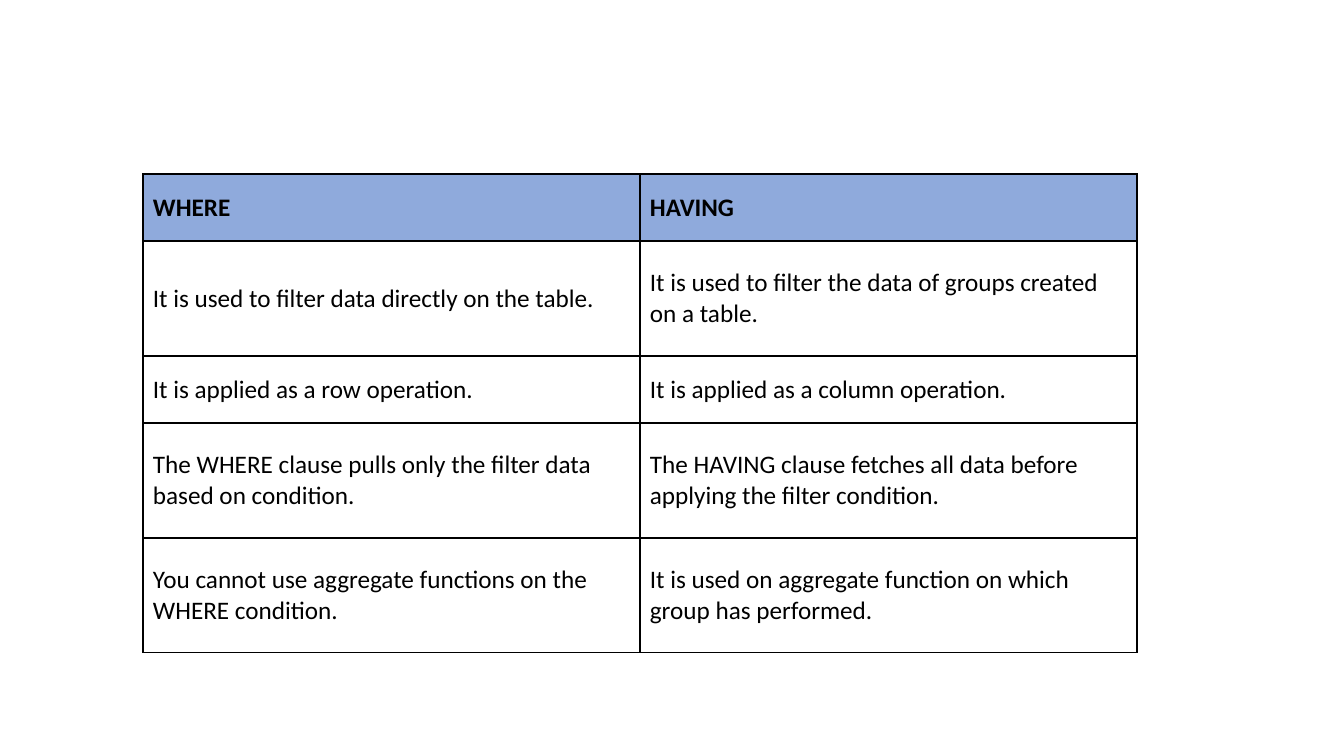
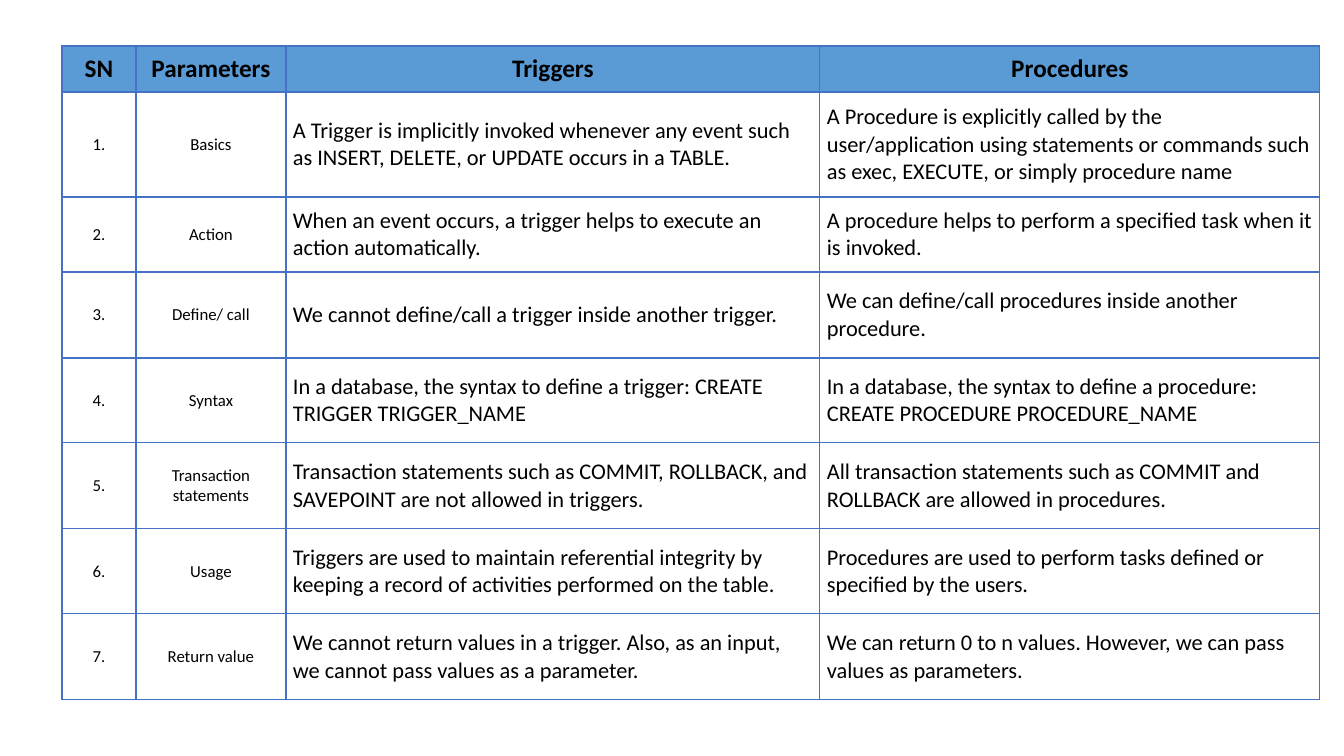
from lxml.etree import SubElement
from pptx import Presentation
from pptx.dml.color import RGBColor
from pptx.enum.text import MSO_ANCHOR as Anchor, PP_ALIGN as Align
from pptx.oxml.ns import qn
from pptx.util import Emu, Pt

FONT = "Calibri"
BLACK = "000000"
SCALE = 914400 / 100.8  # EMU per px


def px(length):
    return Emu(round(length * SCALE))


def write_cell(cell, text, size=18, bold=False, align=Align.LEFT, inset=(10, 6), fill=None, border=BLACK):
    cell.vertical_anchor = Anchor.MIDDLE
    cell.margin_left = cell.margin_right = px(inset[0])
    cell.margin_top = cell.margin_bottom = px(inset[1])
    # Borders come before the fill in the cell properties
    properties = cell._tc.get_or_add_tcPr()
    for side in ("a:lnL", "a:lnR", "a:lnT", "a:lnB"):
        line = SubElement(properties, qn(side), w=str(Pt(1)))
        SubElement(SubElement(line, qn("a:solidFill")), qn("a:srgbClr"), val=border)
    if fill:
        cell.fill.solid()
        cell.fill.fore_color.rgb = RGBColor.from_string(fill)
    else:
        cell.fill.background()
    paragraph = cell.text_frame.paragraphs[0]
    paragraph.alignment = align
    run = paragraph.add_run()
    run.text = text
    run.font.name, run.font.size, run.font.bold = FONT, Pt(size), bold
    run.font.color.rgb = RGBColor.from_string(BLACK)


# Cell formats
plain = {}
centred_head = {"align": Align.CENTER, "inset": (7, 7)}
number_head = {"align": Align.CENTER, "inset": (3, 7)}
number = {"size": 12, "align": Align.CENTER, "inset": (3, 5)}
parameter = {"size": 12, "align": Align.CENTER, "inset": (5, 5)}
description = {"size": 16, "inset": (7, 10)}

# Content of the two comparison tables
where_having = {
    "left": 143, "top": 174,
    "widths": [497, 497],
    "heights": [67, 115, 67, 115, 115],
    "head_fill": "8FAADC", "border": BLACK,
    "head_formats": [plain, plain],
    "body_formats": [plain, plain],
    "rows": [
        ("WHERE", "HAVING"),
        ("It is used to filter data directly on the table.",
         "It is used to filter the data of groups created on a table."),
        ("It is applied as a row operation.",
         "It is applied as a column operation."),
        ("The WHERE clause pulls only the filter data based on condition.",
         "The HAVING clause fetches all data before applying the filter condition."),
        ("You cannot use aggregate functions on the WHERE condition.",
         "It is used on aggregate function on which group has performed."),
    ],
}
triggers_procedures = {
    "left": 62, "top": 46,
    "widths": [74, 150, 534, 500],
    "heights": [46, 105, 75, 86, 85, 86, 85, 86],
    "head_fill": "5B9BD5", "border": "4472C4",
    "head_formats": [number_head, centred_head, centred_head, centred_head],
    "body_formats": [number, parameter, description, description],
    "rows": [
        ("SN", "Parameters", "Triggers", "Procedures"),
        ("1.", "Basics",
         "A Trigger is implicitly invoked whenever any event such as INSERT, DELETE, or UPDATE occurs in a TABLE.",
         "A Procedure is explicitly called by the user/application using statements or commands "
         "such as exec, EXECUTE, or simply procedure name"),
        ("2.", "Action",
         "When an event occurs, a trigger helps to execute an action automatically.",
         "A procedure helps to perform a specified task when it is invoked."),
        ("3.", "Define/ call",
         "We cannot define/call a trigger inside another trigger.",
         "We can define/call procedures inside another procedure."),
        ("4.", "Syntax",
         "In a database, the syntax to define a trigger: CREATE TRIGGER TRIGGER_NAME",
         "In a database, the syntax to define a procedure: CREATE PROCEDURE PROCEDURE_NAME"),
        ("5.", "Transaction statements",
         "Transaction statements such as COMMIT, ROLLBACK, and SAVEPOINT are not allowed in triggers.",
         "All transaction statements such as COMMIT and ROLLBACK are allowed in procedures."),
        ("6.", "Usage",
         "Triggers are used to maintain referential integrity by keeping a record of activities "
         "performed on the table.",
         "Procedures are used to perform tasks defined or specified by the users."),
        ("7.", "Return value",
         "We cannot return values in a trigger. Also, as an input, we cannot pass values as a parameter.",
         "We can return 0 to n values. However, we can pass values as parameters."),
    ],
}

presentation = Presentation()
presentation.slide_width, presentation.slide_height = px(1344), px(756)

# One slide per table
for comparison in (where_having, triggers_procedures):
    slide = presentation.slides.add_slide(presentation.slide_layouts[6])
    widths, heights = comparison["widths"], comparison["heights"]
    table = slide.shapes.add_table(
        len(heights), len(widths), px(comparison["left"]), px(comparison["top"]),
        px(sum(widths)), px(sum(heights))).table
    table.first_row = table.horz_banding = False
    for column, width in zip(table.columns, widths):
        column.width = px(width)
    for row_index, (row, height) in enumerate(zip(table.rows, heights)):
        row.height = px(height)
        is_head = row_index == 0
        formats = comparison["head_formats" if is_head else "body_formats"]
        for cell, text, cell_format in zip(row.cells, comparison["rows"][row_index], formats):
            write_cell(cell, text, bold=is_head, border=comparison["border"],
                       fill=comparison["head_fill"] if is_head else None, **cell_format)

presentation.save("out.pptx")
